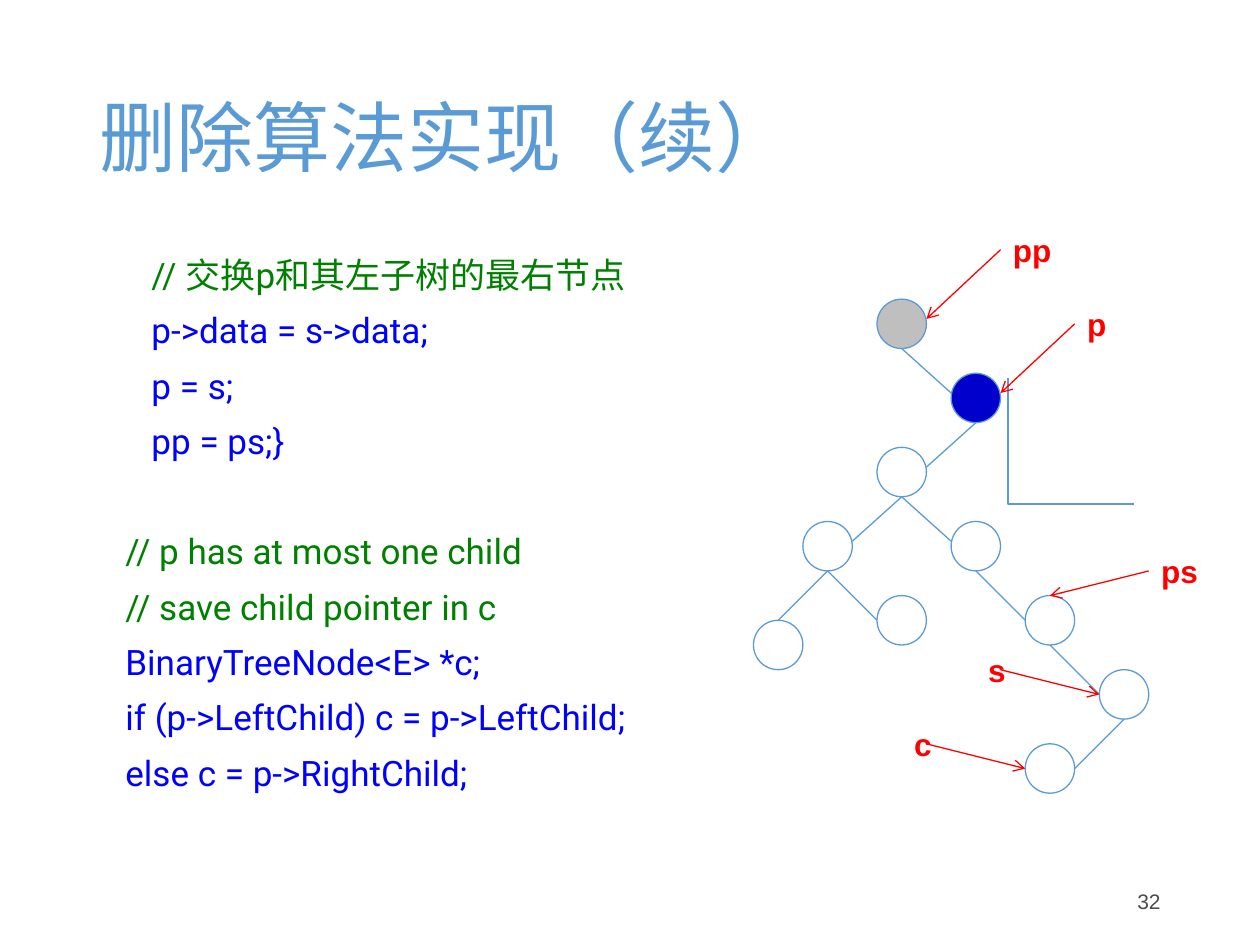
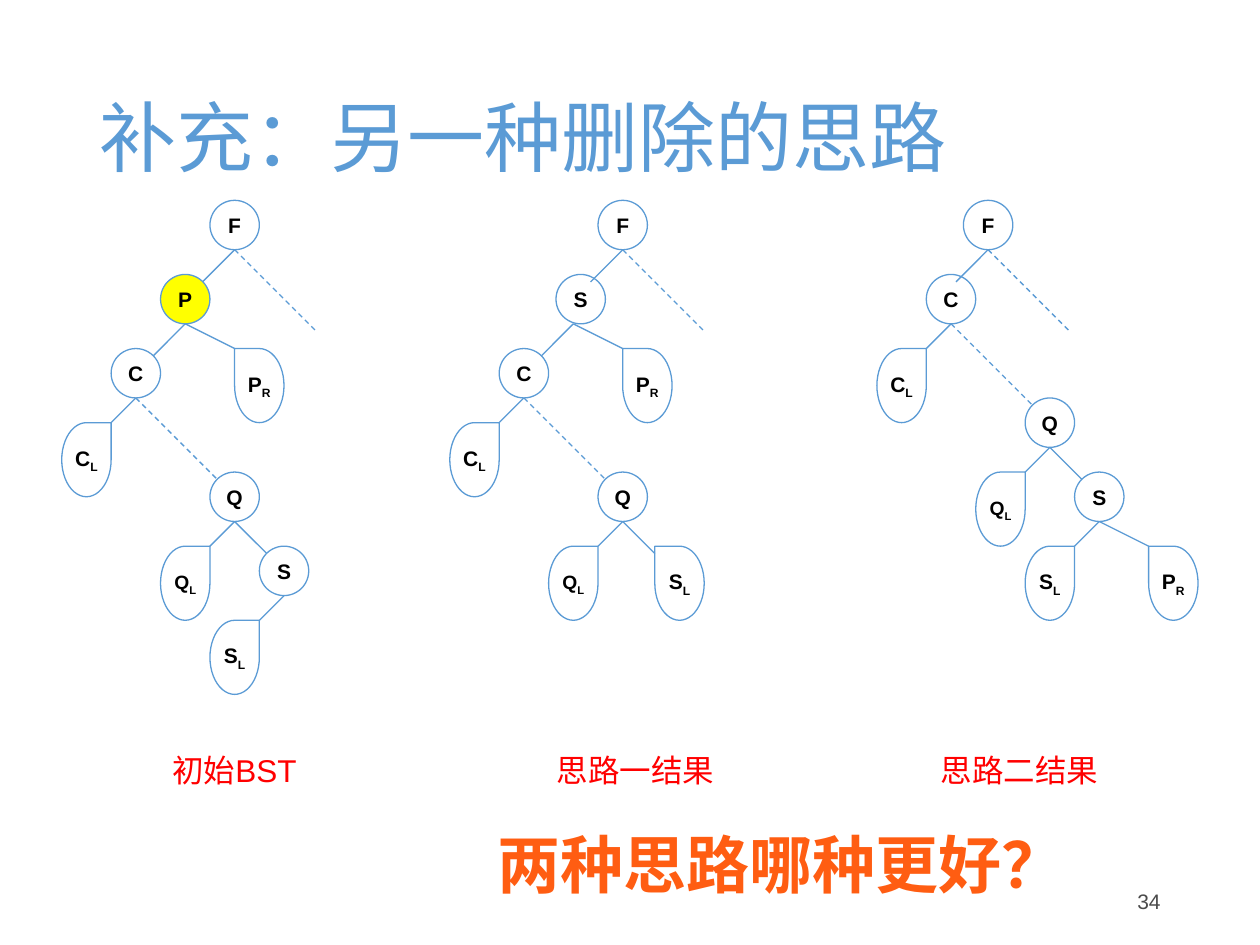
from pptx import Presentation
from pptx.dml.color import RGBColor
from pptx.enum.dml import MSO_LINE
from pptx.enum.shapes import MSO_CONNECTOR, MSO_SHAPE
from pptx.enum.text import MSO_ANCHOR, PP_ALIGN
from pptx.oxml.ns import qn
from pptx.util import Inches, Pt
from lxml.etree import SubElement

BLUE = RGBColor(0x5B, 0x9B, 0xD5)
CODE_BLUE = RGBColor(0, 0, 0xFF)
COMMENT_GREEN = RGBColor(0, 0x80, 0)
NODE_BLUE = RGBColor(0, 0, 0xCC)
NODE_GREY = RGBColor(0xBF, 0xBF, 0xBF)
YELLOW = RGBColor(0xFF, 0xFF, 0)
RED = RGBColor(0xFF, 0, 0)
ORANGE = RGBColor(0xFF, 0x5D, 0x12)
BLACK = RGBColor(0, 0, 0)
FOOTER_GREY = RGBColor(0x4B, 0x4B, 0x4B)

TITLE = dict(name="Calibri", size=Pt(44), color=BLUE)
CODE = dict(name="Roboto", size=Pt(20), color=CODE_BLUE)
COMMENT = CODE | dict(color=COMMENT_GREEN)
CAPTION = dict(name="Arial", size=Pt(18), color=RED)
POINTER = CAPTION | dict(bold=True)
QUESTION = dict(name="Arial", size=Pt(36), color=ORANGE, bold=True)
NODE_TEXT = dict(name="Arial", size=Pt(12), color=BLACK, bold=True)
NUMBER = dict(name="Arial", size=Pt(12), color=FOOTER_GREY)

# Grid: 51 cells across the slide; circles are 2 x 2 cells, leaves 2 x 3
WIDTH, HEIGHT = 10, 7.5
CELL = WIDTH / 51
LEFT, TOP = 0.49, 1.59

# Slide 1: code as (text, style, space before in points)
CODE_LINES = [
    ("      // 交换p和其左子树的最右节点", COMMENT, 0),
    ("      p->data = s->data;", CODE, 10),
    ("      p = s;", CODE, 10),
    ("      pp = ps;}", CODE, 10),
    ("   // p has at most one child", COMMENT, 41.6),
    ("   // save child pointer in c", COMMENT, 10),
    ("   BinaryTreeNode<E> *c;", CODE, 10),
    ("   if (p->LeftChild) c = p->LeftChild;", CODE, 10),
    ("   else c = p->RightChild;", CODE, 10),
]
# Node: (column, row, fill)
NODES = {
    "pp": (33, 4, NODE_GREY), "p": (36, 7, NODE_BLUE), "left": (33, 10, None),
    "inner": (30, 13, None), "right": (36, 13, None), "ps": (39, 16, None),
    "s": (42, 19, None), "c": (39, 22, None), "leaf 1": (28, 17, None),
    "leaf 2": (33, 16, None),
}
# Edge: parent, child, end point as shares of the child's circle
EDGES = [
    ("pp", "p", 0, 0.4), ("p", "left", 1, 0.4), ("left", "inner", 1, 0.4),
    ("left", "right", 0, 0.4), ("inner", "leaf 1", 0.5, 0),
    ("inner", "leaf 2", 0, 0.5), ("right", "ps", 0, 0.5),
    ("ps", "s", 0, 0.5), ("s", "c", 1, 0.5),
]
# Pointer: label column and row, arrow offset, end point on the node
POINTERS = {
    "pp": (38, 1, 0, 1, 0.4), "p": (41, 4, 0, 1, 0.4), "ps": (44, 14, 0, 0.5, 0),
    "s": (37, 18, 1, 0, 0.5), "c": (34, 21, 1, 0, 0.5),
}
# Subtree left out, as a wavy line in inches
WAVE = [
    (7.75, 3.37), (7.87, 3.38), (7.97, 3.39), (8, 3.42), (8.04, 3.43), (8.07, 3.46),
    (8.12, 3.53), (8.22, 3.52), (8.27, 3.51), (8.35, 3.52), (8.4, 3.59),
    (8.41, 3.63), (8.48, 3.66), (8.6, 3.67), (8.64, 3.73), (8.68, 3.76),
    (8.69, 3.8), (8.72, 3.81), (8.78, 3.82), (8.82, 3.85), (8.83, 3.89),
    (8.85, 3.92), (8.9, 3.94), (8.97, 3.93),
]

# Slide 2: edge kinds as (columns, rows, dashed) from the parent's foot
LINKS = {
    "left": (-1.3, 1.3, False), "right": (1.3, 1.3, False),
    "left leaf": (-1, 1, False), "right leaf": (2, 1, False),
    "far": (3.3, 3.3, True),
}
# Names of two letters are leaves, the second letter a subscript
TREES = [
    dict(caption="初始BST", left=0.49, marked="P", flipped=["PR"],
         nodes={"F": (6, 0), "P": (4, 3), "C": (2, 6), "CL": (0, 9), "Q": (6, 11),
                "QL": (4, 14), "S": (8, 14), "SL": (6, 17), "PR": (7, 6)},
         links=[("F", "left"), ("F", "far"), ("P", "left"), ("P", "right leaf"),
                ("C", "left leaf"), ("C", "far"), ("Q", "left leaf"),
                ("Q", "right"), ("S", "left leaf")]),
    dict(caption="思路一结果", left=3.57, marked=None, flipped=["PR", "SL"],
         nodes={"F": (6, 0), "S": (4.3, 3), "C": (2, 6), "CL": (0, 9), "Q": (6, 11),
                "QL": (4, 14), "SL": (8.3, 14), "PR": (7, 6)},
         links=[("F", "left"), ("F", "far"), ("S", "left"), ("S", "right leaf"),
                ("C", "left leaf"), ("C", "far"), ("Q", "left leaf"),
                ("Q", "right")]),
    dict(caption="思路二结果", left=6.96, marked=None, flipped=["PR"],
         nodes={"F": (3.5, 0), "C": (2, 3), "CL": (0, 6), "Q": (6, 8),
                "QL": (4, 11), "S": (8, 11), "SL": (6, 14), "PR": (11, 14)},
         links=[("F", "left"), ("F", "far"), ("C", "left leaf"), ("C", "far"),
                ("Q", "left leaf"), ("Q", "right"), ("S", "left leaf"),
                ("S", "right leaf")]),
]


def place(column, row, left=LEFT):
    return left + column * CELL, TOP + row * CELL


def add_run(paragraph, text, style):
    run = paragraph.add_run()
    run.text = text
    for key, value in style.items():
        if key == "color":
            run.font.color.rgb = value
        else:
            setattr(run.font, key, value)
    return run


def add_text(slide, box, lines, anchor=MSO_ANCHOR.TOP, align=PP_ALIGN.LEFT,
             spacing=1.0, wrap=True):
    frame = slide.shapes.add_textbox(*map(Inches, box)).text_frame
    frame.word_wrap, frame.vertical_anchor = wrap, anchor
    for index, (text, style, before) in enumerate(lines):
        paragraph = frame.add_paragraph() if index else frame.paragraphs[0]
        paragraph.alignment, paragraph.line_spacing = align, spacing
        if before:
            paragraph.space_before = Pt(before)
        add_run(paragraph, text, style)


def outline(shape, fill=None):
    shape.shadow.inherit = False
    shape.line.color.rgb, shape.line.width = BLUE, Pt(0.75)
    if fill is None:
        shape.fill.background()
    else:
        shape.fill.solid()
        shape.fill.fore_color.rgb = fill


def add_node(slide, point, name="", fill=None, flipped=False):
    is_leaf = len(name) == 2
    kind, rows = (MSO_SHAPE.TEAR, 3) if is_leaf else (MSO_SHAPE.OVAL, 2)
    shape = slide.shapes.add_shape(
        kind, *map(Inches, (*point, 2 * CELL, rows * CELL)))
    outline(shape, fill)
    if flipped:
        shape.element.spPr.find(qn("a:xfrm")).set("flipH", "1")
    if name:
        frame = shape.text_frame
        for side in ("left", "right", "top", "bottom"):
            setattr(frame, f"margin_{side}", 0)
        frame.word_wrap, frame.vertical_anchor = False, MSO_ANCHOR.MIDDLE
        paragraph = frame.paragraphs[0]
        paragraph.alignment = PP_ALIGN.CENTER
        style = NODE_TEXT | dict(size=Pt(11 if name == "QL" else 12))
        add_run(paragraph, name[0], style)
        if is_leaf:
            subscript = add_run(paragraph, name[1], style)
            subscript.font._element.set("baseline", "-25000")


def add_line(slide, start, end, color=BLUE, dashed=False, arrow=False):
    connector = slide.shapes.add_connector(
        MSO_CONNECTOR.STRAIGHT, *map(Inches, (*start, *end)))
    connector.line.color.rgb, connector.line.width = color, Pt(0.75)
    if dashed:
        connector.line.dash_style = MSO_LINE.DASH
    properties = connector.element.spPr
    if arrow:
        SubElement(properties.find(qn("a:ln")), qn("a:tailEnd"), type="arrow")
    SubElement(properties, qn("a:effectLst"))


def add_slide(presentation, title, number):
    slide = presentation.slides.add_slide(presentation.slide_layouts[6])
    add_text(slide, (0.69, 0.4, 8.62, 1.45), [(title, TITLE, 0)],
             MSO_ANCHOR.MIDDLE, spacing=0.9)
    add_text(slide, (7.06, 6.95, 2.25, 0.4), [(str(number), NUMBER, 0)],
             MSO_ANCHOR.MIDDLE, PP_ALIGN.RIGHT)
    return slide


def build_code_slide(presentation):
    slide = add_slide(presentation, "删除算法实现（续）", 32)
    add_text(slide, (0.69, 2, 8.62, 4.76), CODE_LINES, spacing=0.9)

    # Tree
    for column, row, fill in NODES.values():
        add_node(slide, place(column, row), fill=fill)
    for parent, child, across, down in EDGES:
        column, row, _ = NODES[parent]
        child_column, child_row, _ = NODES[child]
        add_line(slide, place(column + 1, row + 2),
                 place(child_column + 2 * across, child_row + 2 * down))
    builder = slide.shapes.build_freeform(*WAVE[0], scale=Inches(1))
    builder.add_line_segments(WAVE[1:], close=False)
    outline(builder.convert_to_shape())

    # Pointers
    for name, (column, row, offset, across, down) in POINTERS.items():
        node_column, node_row, _ = NODES[name]
        add_line(slide, place(column + offset, row + 1),
                 place(node_column + 2 * across, node_row + 2 * down), RED, arrow=True)
        add_text(slide, (*place(column, row), 3 * CELL, 0.4), [(name, POINTER, 0)])


def build_comparison_slide(presentation):
    slide = add_slide(presentation, "补充：另一种删除的思路", 34)
    for index, tree in enumerate(TREES):
        nodes, left = tree["nodes"], tree["left"]
        for name, cell in nodes.items():
            add_node(slide, place(*cell, left), name,
                     YELLOW if name == tree["marked"] else None,
                     name in tree["flipped"])
        for parent, kind in tree["links"]:
            column, row = nodes[parent]
            across, down, dashed = LINKS[kind]
            # Edges start on half cells
            foot, base = column * 2 // 1 / 2 + 1, row + 2
            add_line(slide, place(foot, base, left),
                     place(foot + across, base + down, left), dashed=dashed)
        add_text(slide, (1.27 + 3.05 * index, 5.91, 2, 0.4),
                 [(tree["caption"], CAPTION, 0)])
    add_text(slide, (3.82, 6.5, 4.76, 0.71), [("两种思路哪种更好？", QUESTION, 0)],
             align=PP_ALIGN.CENTER, wrap=False)


def main():
    presentation = Presentation()
    presentation.slide_width, presentation.slide_height = Inches(WIDTH), Inches(HEIGHT)
    build_code_slide(presentation)
    build_comparison_slide(presentation)
    presentation.save("out.pptx")


if __name__ == "__main__":
    main()
